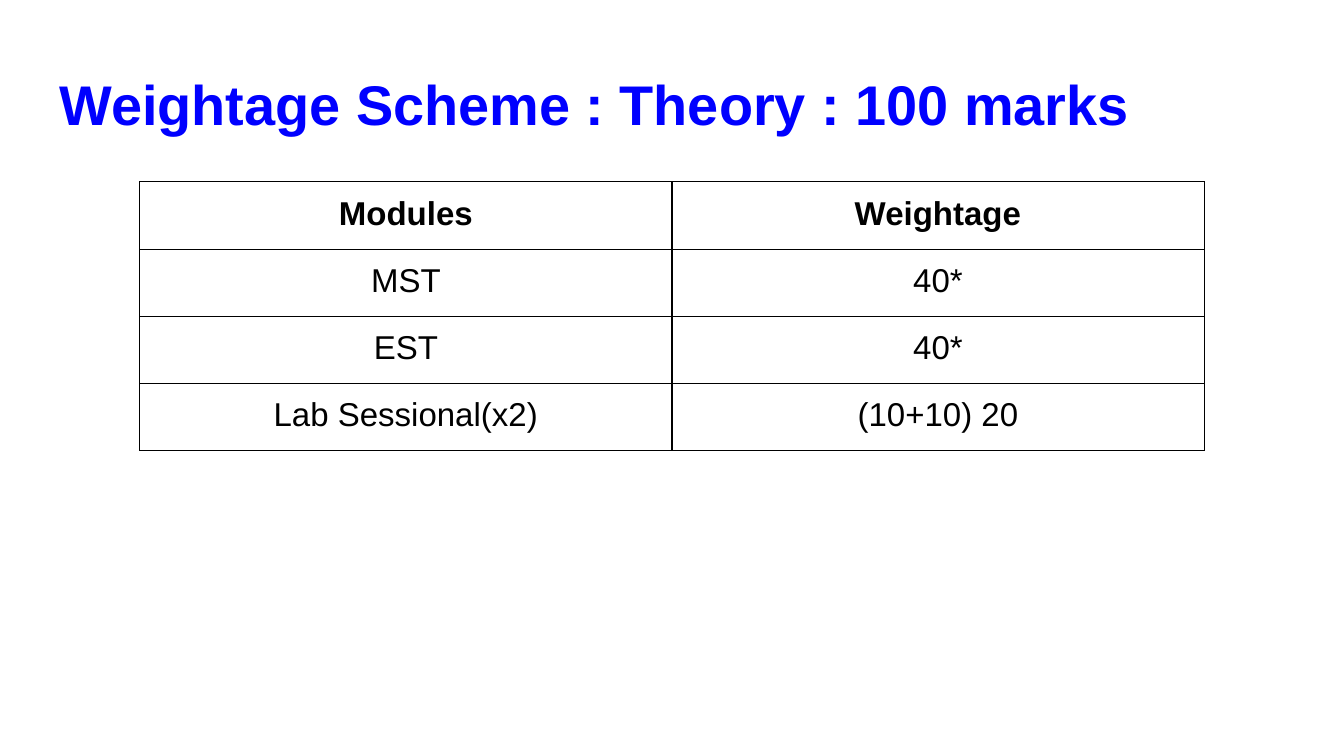
from lxml import etree
from pptx import Presentation
from pptx.dml.color import RGBColor
from pptx.enum.text import MSO_ANCHOR, PP_ALIGN
from pptx.oxml.ns import qn
from pptx.util import Inches, Pt

BLUE = RGBColor(0x00, 0x00, 0xFF)
BLACK = RGBColor(0x00, 0x00, 0x00)
WHITE = RGBColor(0xFF, 0xFF, 0xFF)
LEFT = PP_ALIGN.LEFT
CENTER = PP_ALIGN.CENTER
MIDDLE = MSO_ANCHOR.MIDDLE
PAD = Inches(0.15)
ROWS = [
    ("Modules", "Weightage"),
    ("MST", "40*"),
    ("EST", "40*"),
    ("Lab Sessional(x2)", "(10+10) 20"),
]


def style(para, size, color, bold, align):
    para.alignment = align
    font = para.runs[0].font
    font.name = "Arial"
    font.size = Pt(size)
    font.bold = bold
    font.color.rgb = color


def border(cell):
    props = cell._tc.get_or_add_tcPr()
    for spot, side in enumerate(("a:lnL", "a:lnR", "a:lnT", "a:lnB")):
        line = etree.Element(qn(side), w=str(Pt(1)))
        fill = etree.SubElement(line, qn("a:solidFill"))
        etree.SubElement(fill, qn("a:srgbClr"), val=str(BLACK))
        props.insert(spot, line)


prs = Presentation()
prs.slide_width = Inches(14.7)
prs.slide_height = Inches(8.27)
slide = prs.slides.add_slide(prs.slide_layouts[5])

title = slide.shapes.title
title.left, title.top = Inches(0.5), Inches(0.72)
title.width, title.height = Inches(13.7), Inches(0.92)
frame = title.text_frame
frame.text = "Weightage Scheme : Theory : 100 marks"
frame.word_wrap = True
frame.vertical_anchor = MIDDLE
frame.margin_left = frame.margin_right = PAD
frame.margin_top = frame.margin_bottom = PAD
frame.paragraphs[0].line_spacing = 0.9
style(frame.paragraphs[0], 44, BLUE, True, LEFT)

table = slide.shapes.add_table(
    len(ROWS), 2, Inches(1.53), Inches(1.99), Inches(11.64), Inches(2.94)
).table
table.horz_banding = False

for r, row in enumerate(ROWS):
    for c, text in enumerate(row):
        cell = table.cell(r, c)
        cell.text_frame.text = text
        cell.margin_left = cell.margin_right = PAD
        cell.margin_top = cell.margin_bottom = PAD
        cell.fill.solid()
        cell.fill.fore_color.rgb = WHITE
        style(cell.text_frame.paragraphs[0], 26, BLACK, r == 0, CENTER)
        border(cell)

prs.save("out.pptx")
